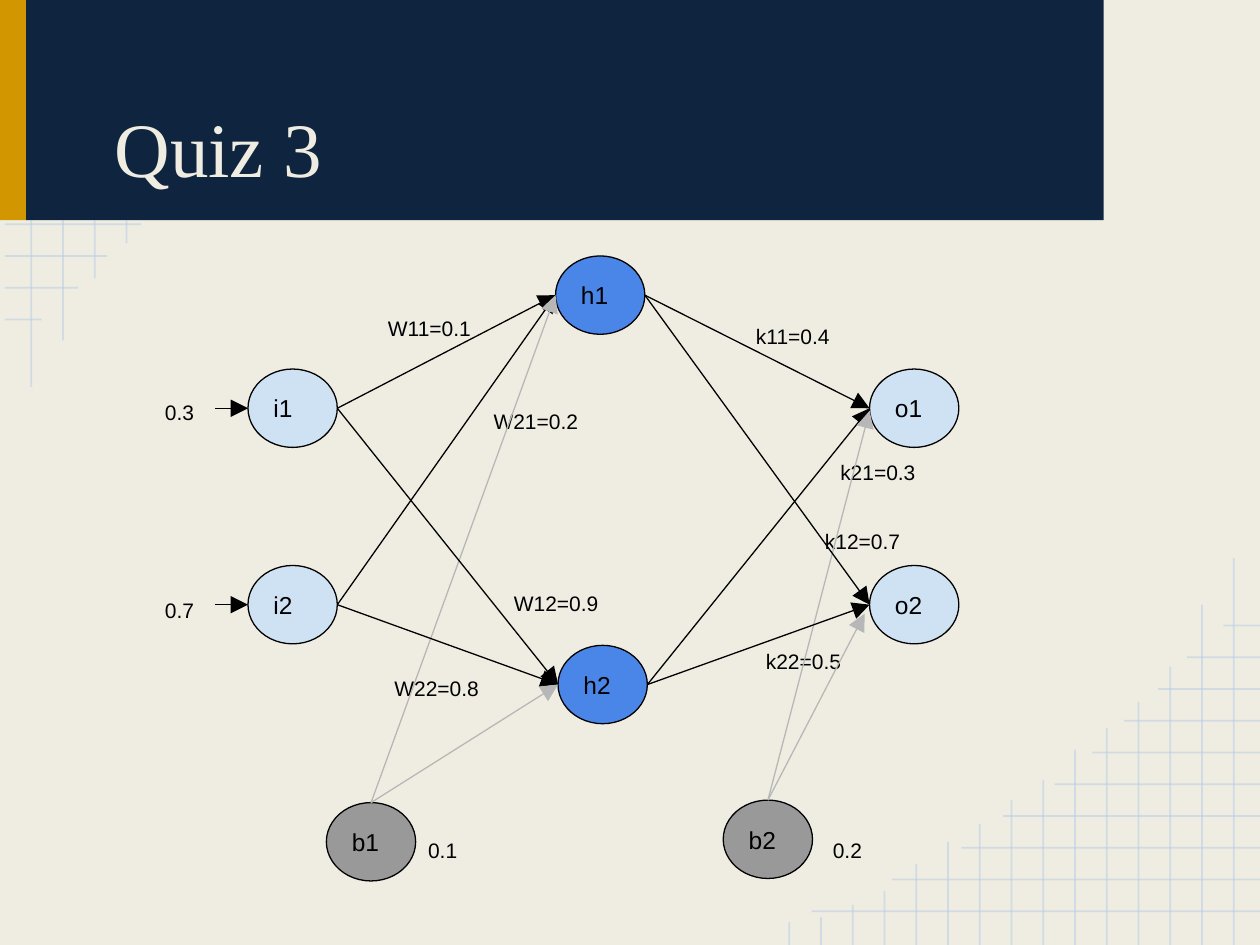
from collections import namedtuple

from lxml.etree import SubElement
from pptx import Presentation
from pptx.dml.color import RGBColor
from pptx.enum.shapes import MSO_CONNECTOR, MSO_SHAPE
from pptx.enum.text import MSO_ANCHOR, MSO_AUTO_SIZE, PP_ALIGN
from pptx.oxml.ns import qn
from pptx.util import Cm, Pt

Box = namedtuple("Box", "left top width height")  # all lengths in cm

CREAM = RGBColor(0xEF, 0xED, 0xE2)
NAVY = RGBColor(0x0F, 0x24, 0x3E)
GOLD = RGBColor(0xD2, 0x97, 0x00)
GRID_BLUE = RGBColor(0xB7, 0xCC, 0xE4)
PALE_BLUE = RGBColor(0xCF, 0xE2, 0xF3)
BLUE = RGBColor(0x4A, 0x86, 0xE8)
GREY = RGBColor(0x99, 0x99, 0x99)
LIGHT_GREY = RGBColor(0xB7, 0xB7, 0xB7)
BLACK = RGBColor(0, 0, 0)

PAGE = Box(0, 0, 25.4, 19.05)
BANNER = Box(0, 0, 22.25, 4.44)
NETWORK = Box(2.87, 5.16, 16.46, 12.6)

# Decorative grid: line lengths, counted from the corner outwards
GRID_PITCH = 0.64
GRID_ROWS = [9.04, 7.42, 6.02, 5.18, 4.14, 3.38, 2.74, 2.06, 1.47, 0.74]
GRID_COLUMNS = [7.8, 6.86, 5.61, 4.9, 4.37, 3.94, 3.33, 2.92, 2.44, 2.08,
                1.63, 1.09, 0.81, 0.56, 0.46]

# Network: node name -> left, top, fill
NODE_WIDTH, NODE_HEIGHT = 1.8, 1.58
NODES = {
    "i1": (2.13, 2.28, PALE_BLUE), "i2": (2.13, 6.24, PALE_BLUE),
    "h1": (8.33, 0, BLUE), "h2": (8.38, 7.85, BLUE),
    "o1": (14.66, 2.28, PALE_BLUE), "o2": (14.66, 6.24, PALE_BLUE),
    "b1": (3.71, 11.02, GREY), "b2": (11.71, 10.97, GREY),
}
LAYERS = [("i1", "i2"), ("h1", "h2"), ("o1", "o2")]
BIASES = ["b1", "b2"]
# Bias arrows that stop slightly away from the node's left point
END_OFFSETS = {("b2", "o1"): (0, 0.05), ("b2", "o2"): (-0.1, 0.18)}
INPUT_ARROW = 0.66

# Labels: text, left, top, width, alignment
LABEL_HEIGHT = 0.84
LEFT, CENTER = PP_ALIGN.LEFT, PP_ALIGN.CENTER
LABELS = [
    ("W11=0.1", 4.7, 0.96, 2.54, LEFT), ("W21=0.2", 6.83, 2.82, 2.26, LEFT),
    ("W12=0.9", 7.24, 6.5, 2.54, LEFT), ("W22=0.8", 4.83, 8.2, 2.26, LEFT),
    ("k11=0.4", 12.12, 1.11, 2.54, LEFT), ("k21=0.3", 13.82, 3.86, 2.54, LEFT),
    ("k12=0.7", 13.51, 5.25, 2.54, LEFT), ("k22=0.5", 12.32, 7.67, 2.54, LEFT),
    ("0.1", 5.51, 11.48, 1.5, LEFT), ("0.2", 13.67, 11.48, 1.5, LEFT),
    ("0.3", 0, 2.64, 1.5, CENTER), ("0.7", 0, 6.63, 1.5, CENTER),
]


def add_line(slide, start, end, color, width=0.75, arrow=False, opacity=None):
    line = slide.shapes.add_connector(
        MSO_CONNECTOR.STRAIGHT, *(Cm(value) for value in (*start, *end)))
    line.line.color.rgb = color
    line.line.width = Pt(width)
    properties = line._element.spPr
    outline = properties.find(qn("a:ln"))
    if opacity:
        color_node = outline.find(".//" + qn("a:srgbClr"))
        SubElement(color_node, qn("a:alpha"), val=str(opacity * 1000))
    if arrow:
        SubElement(outline, qn("a:tailEnd"), type="triangle", w="lg", len="lg")
    SubElement(properties, qn("a:effectLst"))


def add_filled_shape(slide, kind, box, fill, outline=None):
    shape = slide.shapes.add_shape(kind, *(Cm(value) for value in box))
    shape.shadow.inherit = False
    shape.fill.solid()
    shape.fill.fore_color.rgb = fill
    if outline is None:
        shape.line.fill.background()
    else:
        shape.line.color.rgb = outline
        shape.line.width = Pt(0.75)
    return shape


def set_text(shape, text, size, anchor, align=LEFT, font="Arial", color=BLACK):
    frame = shape.text_frame
    frame.text = text
    frame.word_wrap = True
    frame.auto_size = MSO_AUTO_SIZE.NONE
    frame.vertical_anchor = anchor
    frame.margin_left = frame.margin_right = Cm(0.25)
    frame.margin_top = frame.margin_bottom = Cm(0.25)
    paragraph = frame.paragraphs[0]
    paragraph.alignment = align
    paragraph.font.name = font
    paragraph.font.size = Pt(size)
    paragraph.font.color.rgb = color
    return paragraph


def add_corner_grid(slide, corner, direction, clear=0):
    """Draw the grid from a corner; lines within `clear` of its edge are cut."""
    corner_x, corner_y = corner
    for index, length in enumerate(GRID_ROWS):
        offset = 0.68 + index * GRID_PITCH
        if offset > clear:
            y = corner_y + direction * offset
            add_line(slide, (corner_x, y), (corner_x + direction * length, y),
                     GRID_BLUE, 1, opacity=53)
    for index, length in enumerate(GRID_COLUMNS):
        if length > clear:
            x = corner_x + direction * (0.53 + index * GRID_PITCH)
            add_line(slide, (x, corner_y + direction * clear),
                     (x, corner_y + direction * length),
                     GRID_BLUE, 1, opacity=53)


def add_banner(slide, box):
    stripe = 0.53
    add_filled_shape(slide, MSO_SHAPE.RECTANGLE,
                     Box(box.left, box.top, stripe, box.height), GOLD)
    add_filled_shape(slide, MSO_SHAPE.RECTANGLE,
                     Box(box.left + stripe, box.top, box.width - stripe,
                         box.height), NAVY)
    # Title, brought in front of the banner
    title = slide.shapes.title
    title.left, title.top = Cm(box.left + 1.27), Cm(box.top + 0.38)
    title.width, title.height = Cm(20.32), Cm(3.76)
    paragraph = set_text(title, "Quiz 3", 44, MSO_ANCHOR.BOTTOM,
                         font="Times New Roman", color=CREAM)
    paragraph._p.get_or_add_pPr().set("indent", str(Cm(0.79)))
    title.element.getparent().append(title.element)


def add_network(slide, box):
    def point(name, across, down):
        left, top, _ = NODES[name]
        return (box.left + left + across * NODE_WIDTH,
                box.top + top + down * NODE_HEIGHT)

    # Nodes
    for name, (left, top, fill) in NODES.items():
        node_box = Box(box.left + left, box.top + top, NODE_WIDTH, NODE_HEIGHT)
        node = add_filled_shape(slide, MSO_SHAPE.OVAL, node_box, fill, BLACK)
        set_text(node, name, 14, MSO_ANCHOR.MIDDLE)

    # Weights, biases and inputs
    for text, left, top, width, align in LABELS:
        label = slide.shapes.add_textbox(Cm(box.left + left), Cm(box.top + top),
                                         Cm(width), Cm(LABEL_HEIGHT))
        set_text(label, text, 12, MSO_ANCHOR.TOP, align)

    # Input arrows
    for name in LAYERS[0]:
        x, y = point(name, 0, 0.5)
        add_line(slide, (x - INPUT_ARROW, y), (x, y), BLACK, arrow=True)

    # Arrows from each layer, and from its bias, to the next layer
    for sources, bias, targets in zip(LAYERS, BIASES, LAYERS[1:]):
        for target in targets:
            x, y = point(target, 0, 0.5)
            for source in sources:
                add_line(slide, point(source, 1, 0.5), (x, y), BLACK, arrow=True)
            shift_x, shift_y = END_OFFSETS.get((bias, target), (0, 0))
            add_line(slide, point(bias, 0.5, 0), (x + shift_x, y + shift_y),
                     LIGHT_GREY, arrow=True)


def main():
    presentation = Presentation()
    presentation.slide_width = Cm(PAGE.width)
    presentation.slide_height = Cm(PAGE.height)
    slide = presentation.slides.add_slide(presentation.slide_layouts[5])
    slide.background.fill.solid()
    slide.background.fill.fore_color.rgb = CREAM
    add_corner_grid(slide, (0.1, 0), 1, clear=BANNER.height)
    add_corner_grid(slide, (PAGE.width, PAGE.height), -1)
    add_banner(slide, BANNER)
    add_network(slide, NETWORK)
    presentation.save("out.pptx")


if __name__ == "__main__":
    main()
